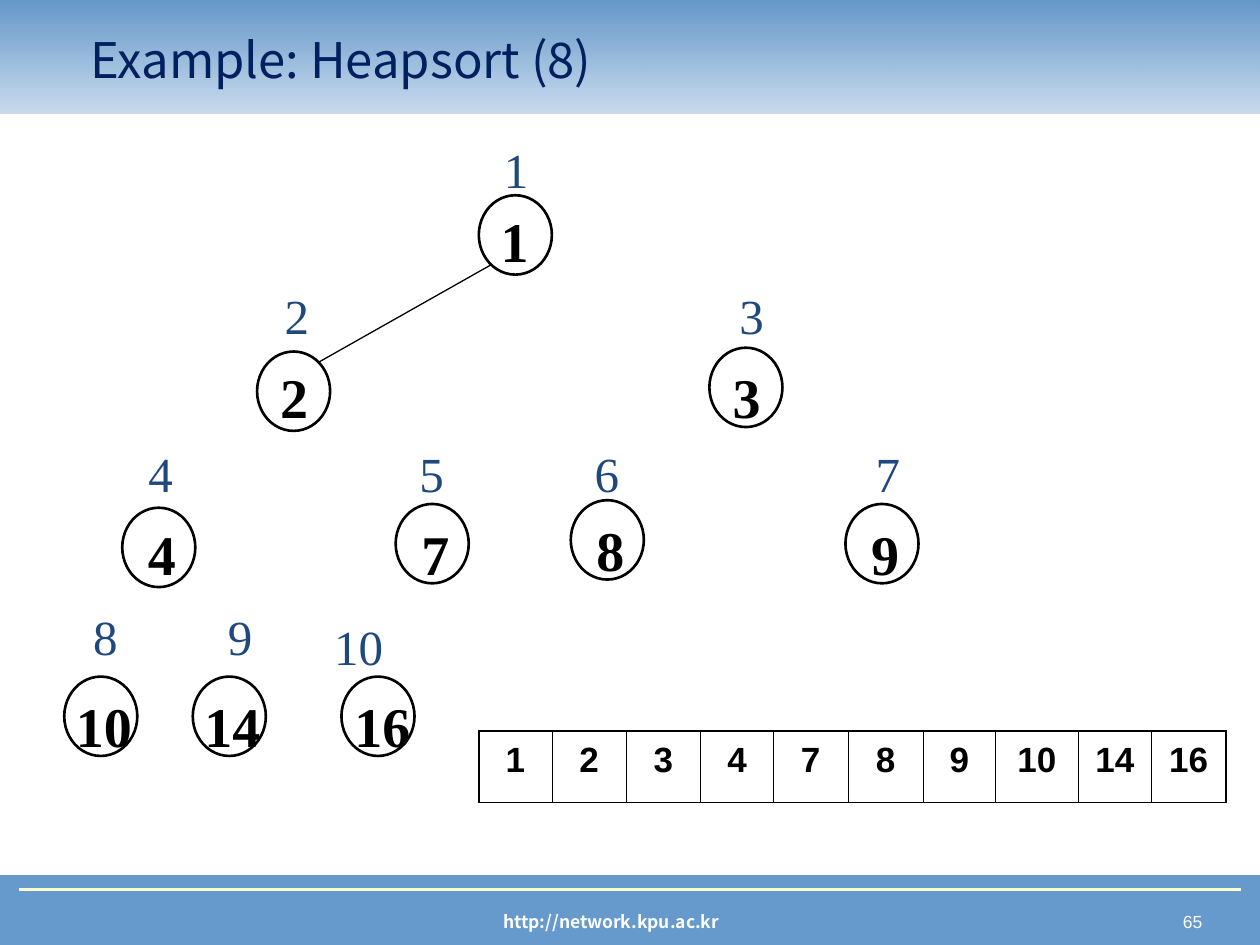
import pptx
import pptx.dml.color
import pptx.enum.shapes
import pptx.enum.text
import pptx.oxml
import pptx.oxml.ns
import pptx.util
from pptx.util import Inches

ALIGN = pptx.enum.text.PP_ALIGN
ANCHOR = pptx.enum.text.MSO_ANCHOR
SHAPE = pptx.enum.shapes.MSO_SHAPE
SANS, SERIF, TABLE_FONT = "Noto Sans CJK KR", "Times New Roman", "Arial"
BLACK, WHITE, BLUE = "000000", "FFFFFF", "6699CC"

NODE_W, NODE_H = 0.58, 0.63
# label, value, circle (left, top), value box (left, top), label box (left, top)
HEAP_NODES = [
    (1, 1, (3.8, 1.55), (3.69, 1.55), (3.9, 1.02)),
    (2, 2, (2.04, 2.79), (1.94, 2.79), (2.16, 2.18)),
    (3, 3, (5.63, 2.76), (5.53, 2.79), (5.77, 2.18)),
    (4, 4, (0.97, 4.03), (0.89, 4.03), (1.08, 3.43)),
    (5, 7, (3.14, 4), (3.06, 4.03), (3.23, 3.43)),
    (6, 8, (4.53, 3.97), (4.45, 4), (4.62, 3.43)),
    (7, 9, (6.71, 4), (6.63, 4.03), (6.85, 3.43)),
    (8, 10, (0.51, 5.37), (0.43, 5.4), (0.64, 4.72)),
    (9, 14, (1.53, 5.37), (1.45, 5.4), (1.71, 4.72)),
    (10, 16, (2.71, 5.37), (2.64, 5.4), (2.55, 4.8)),
]
COLUMN_WIDTHS = [0.58, 0.59, 0.59, 0.58, 0.59, 0.6, 0.57, 0.66, 0.58, 0.59]


def rgb(color):
    return pptx.dml.color.RGBColor.from_string(color)


def write(frame, text, size=10, font=SANS, color=BLACK, bold=False,
          align=ALIGN.CENTER, line_spacing=None):
    paragraph = frame.paragraphs[0]
    paragraph.alignment = align
    paragraph.line_spacing = line_spacing
    run = paragraph.add_run()
    run.text = str(text)
    run.font.size = pptx.util.Pt(size)
    run.font.name = font
    run.font.bold = bold
    run.font.color.rgb = rgb(color)


def add_text(slide, box, text, wrap=True, top_inset=0.05,
             anchor=ANCHOR.TOP, **style):
    frame = slide.shapes.add_textbox(*map(Inches, box)).text_frame
    frame.word_wrap = wrap
    frame.margin_top = Inches(top_inset)
    frame.vertical_anchor = anchor
    write(frame, text, **style)


def add_shape(slide, kind, box, fill=None, line=None, width=0.75):
    shape = slide.shapes.add_shape(kind, *map(Inches, box))
    shape.shadow.inherit = False
    if fill:
        shape.fill.solid()
        shape.fill.fore_color.rgb = rgb(fill)
    else:
        shape.fill.background()
    if line:
        shape.line.color.rgb = rgb(line)
        shape.line.width = pptx.util.Pt(width)
    else:
        shape.line.fill.background()
    return shape


def add_line(slide, start, end, color, width):
    line = slide.shapes.add_connector(
        pptx.enum.shapes.MSO_CONNECTOR.STRAIGHT, *map(Inches, start + end))
    line.line.color.rgb = rgb(color)
    line.line.width = pptx.util.Pt(width)
    pptx.oxml.ns  # namespace helpers for the effect list below
    line._element.spPr.append(pptx.oxml.parse_xml(
        f'<a:effectLst {pptx.oxml.ns.nsdecls("a")}/>'))


def add_header(slide, left, top, width, height):
    band = add_shape(slide, SHAPE.RECTANGLE, (left, top, width, height))
    band.fill.gradient()
    band.fill.gradient_angle = 90
    pale, deep = band.fill.gradient_stops
    pale.color.rgb, deep.color.rgb = rgb(BLUE), rgb("6497C9")
    pale.position, deep.position = 0, 1
    # The lower edge of the band is 35 % opaque
    pale_color = band._element.spPr.find(".//" + pptx.oxml.ns.qn("a:srgbClr"))
    pale_color.append(pptx.oxml.parse_xml(
        f'<a:alpha {pptx.oxml.ns.nsdecls("a")} val="35000"/>'))
    add_text(slide, (left + 0.62, top + 0.16, 8.44, 0.62),
             "Example: Heapsort (8)", size=28, color="002060",
             align=ALIGN.LEFT, anchor=ANCHOR.MIDDLE)


def add_footer(slide, left, top, width, height):
    add_shape(slide, SHAPE.RECTANGLE, (left, top, width, height), BLUE, BLUE)
    rule_y = top + 0.11
    add_line(slide, (left + 0.15, rule_y), (left + width - 0.15, rule_y),
             "FFFFCC", 1.5)
    add_text(slide, (left + 2.27, top + 0.23, 5.16, 0.27),
             "http://network.kpu.ac.kr", color=WHITE, bold=True)
    add_text(slide, (left + 7.42, top + 0.23, 2.22, 0.27), "65",
             font=TABLE_FONT, color=WHITE, align=ALIGN.RIGHT)


def add_heap(slide, left, top):
    # The one edge still in the heap
    add_line(slide, (left + 3.9, top + 2.1), (left + 2.52, top + 2.88),
             BLACK, 0.75)
    for label, value, circle, value_at, label_at in HEAP_NODES:
        def box(corner, width, height):
            return left + corner[0], top + corner[1], width, height

        add_shape(slide, SHAPE.OVAL, box(circle, NODE_W, NODE_H),
                  line=BLACK, width=1.5)
        add_text(slide, box(value_at, 0.79, 0.64), value, top_inset=0.09,
                 size=32, font=SERIF, bold=True)
        add_text(slide, box(label_at, 0.59 if label > 9 else 0.39, 0.57),
                 label, wrap=False, top_inset=0.09, size=28, font=SERIF,
                 color="1F497D")


def set_border(cell, side, width):
    cell._tc.get_or_add_tcPr().append(pptx.oxml.parse_xml(
        f'<a:{side} {pptx.oxml.ns.nsdecls("a")} '
        f'w="{pptx.util.Pt(width)}"><a:solidFill>'
        f'<a:srgbClr val="{BLACK}"/></a:solidFill></a:{side}>'))


def add_sorted_array(slide, left, top, width, height):
    values = [node[1] for node in HEAP_NODES]
    last = len(values) - 1
    table = slide.shapes.add_table(
        1, len(values), *map(Inches, (left, top, width, height))).table
    table.first_row = table.horz_banding = False
    for i, value in enumerate(values):
        table.columns[i].width = Inches(COLUMN_WIDTHS[i])
        cell = table.cell(0, i)
        write(cell.text_frame, value, size=20, font=TABLE_FONT, bold=True,
              line_spacing=1.1)
        set_border(cell, "lnL", 1.08 if i == 0 else 0.45)
        set_border(cell, "lnR", 1.08 if i == last else 0.45)
        set_border(cell, "lnT", 1.08)
        set_border(cell, "lnB", 1.08)
        cell.fill.background()


def main():
    deck = pptx.Presentation()
    deck.slide_width, deck.slide_height = Inches(10), Inches(7.5)
    slide = deck.slides.add_slide(deck.slide_layouts[6])
    add_footer(slide, 0, 6.95, 10, 0.55)
    add_header(slide, 0, 0, 10, 0.9)
    add_heap(slide, 0, 0)
    add_sorted_array(slide, 3.8, 5.8, 5.92, 0.57)
    deck.save("out.pptx")


if __name__ == "__main__":
    main()
